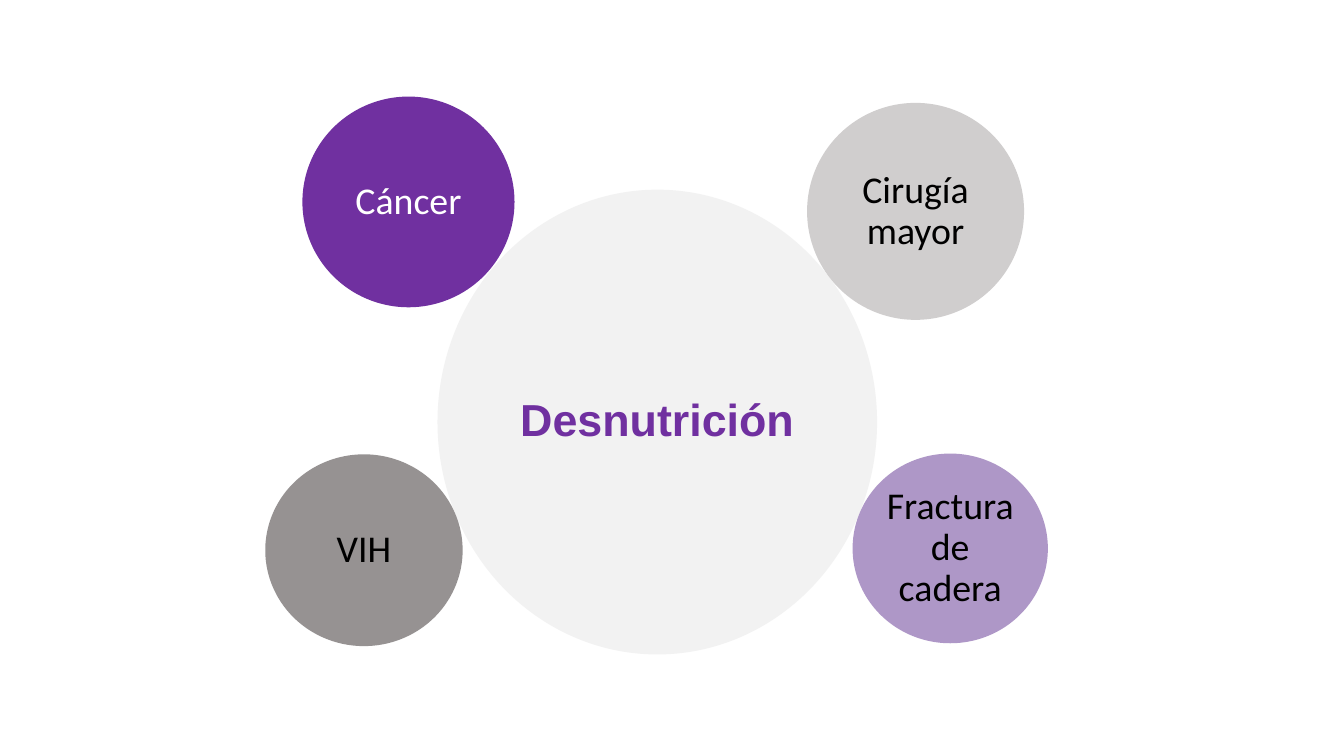
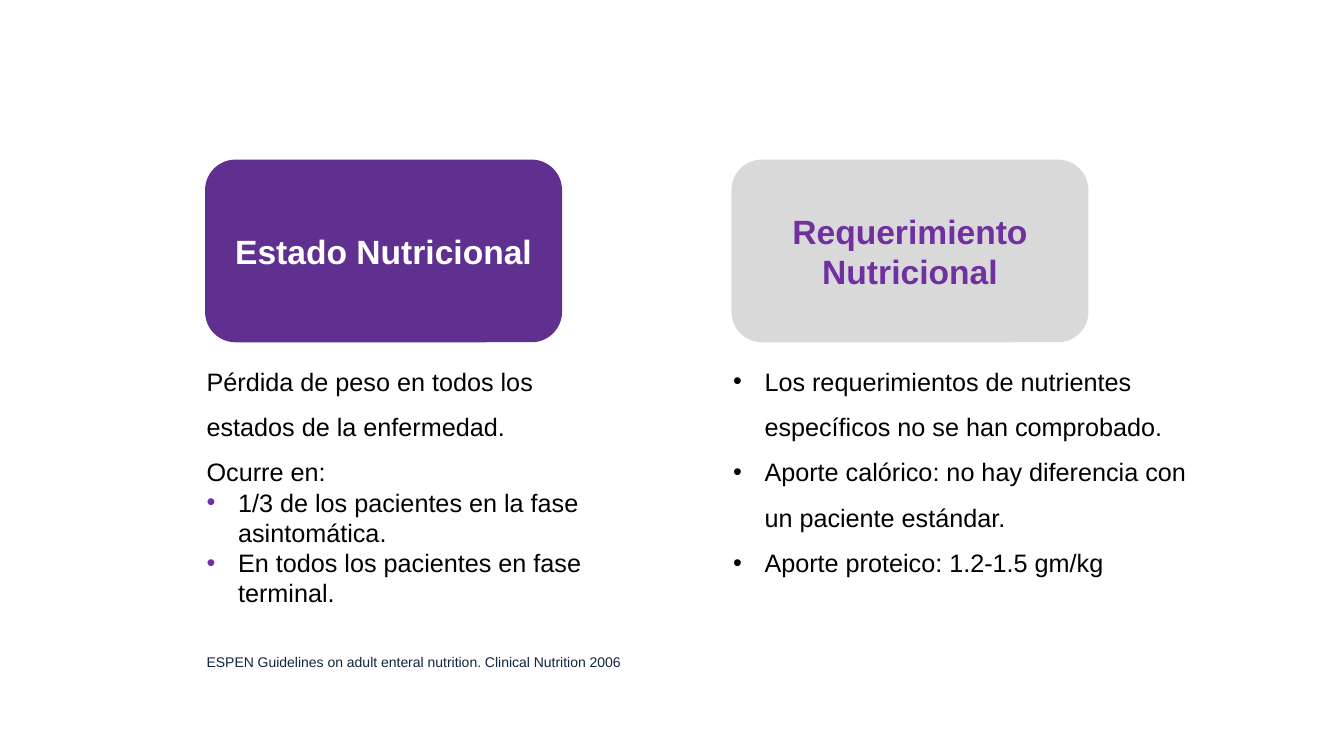
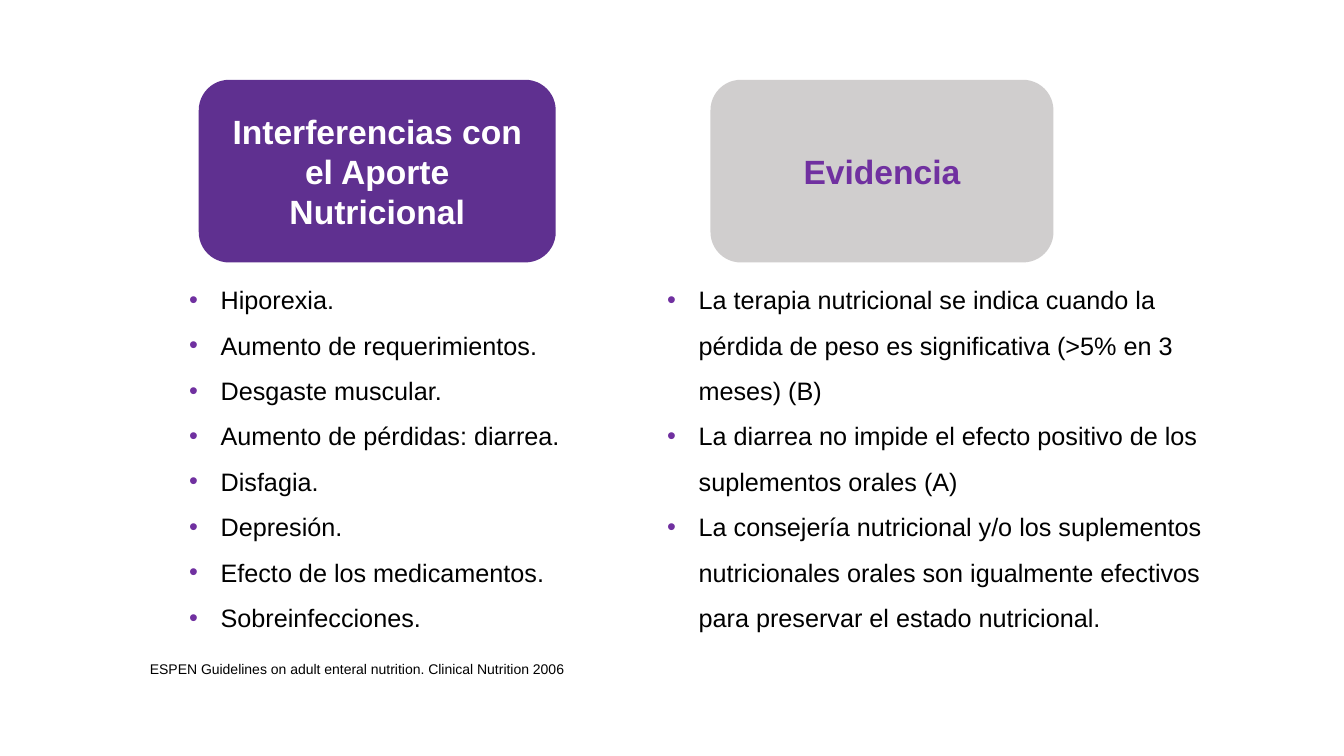
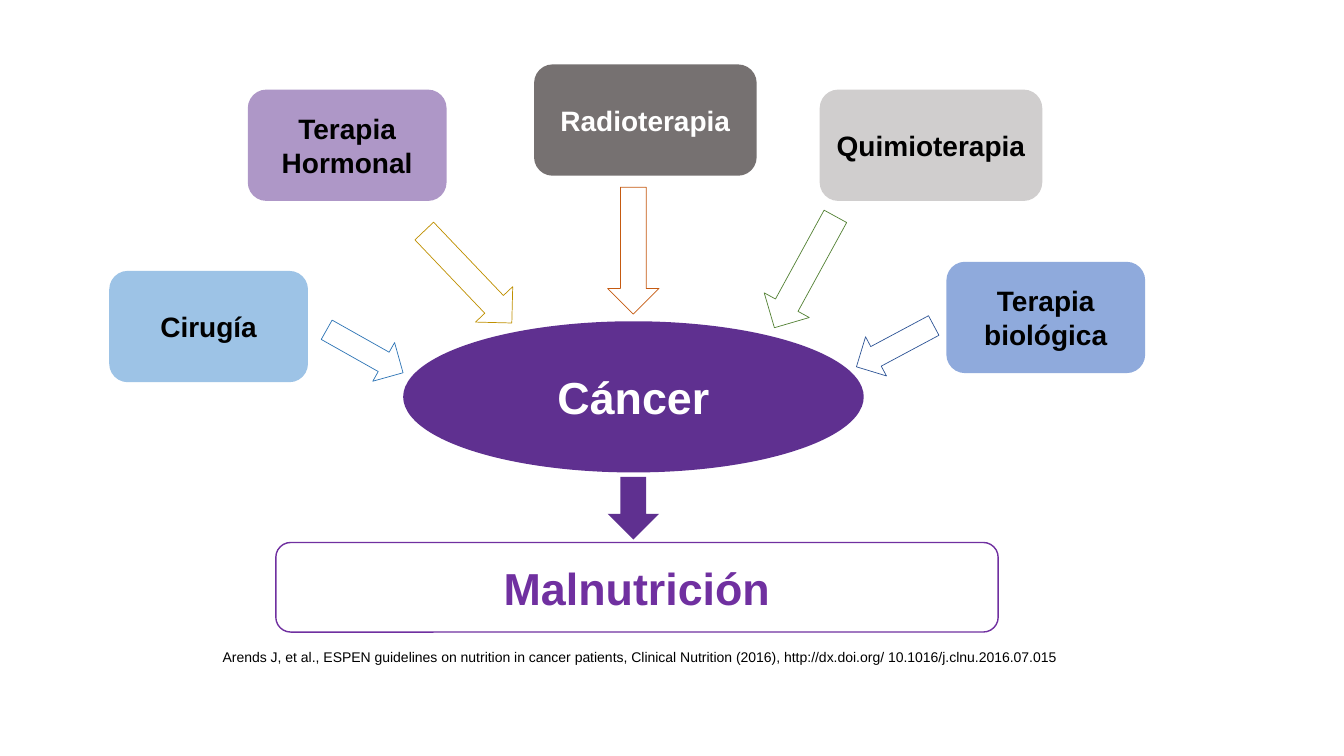
"""Build four slides on malnutrition and the nutritional care of patients."""
from dataclasses import dataclass

from lxml import etree
from pptx import Presentation
from pptx.dml.color import RGBColor
from pptx.enum.shapes import MSO_SHAPE
from pptx.enum.text import MSO_ANCHOR, MSO_AUTO_SIZE, PP_ALIGN
from pptx.oxml.ns import qn
from pptx.util import Pt

ELLIPSE = MSO_SHAPE.OVAL
ROUNDED = MSO_SHAPE.ROUNDED_RECTANGLE
DOWN_ARROW = MSO_SHAPE.DOWN_ARROW
MIDDLE = MSO_ANCHOR.MIDDLE
CENTER = PP_ALIGN.CENTER
GROW = MSO_AUTO_SIZE.SHAPE_TO_FIT_TEXT


@dataclass(frozen=True)
class Theme:
    font: str = "Arial"
    circle_font: str = "Calibri"
    violet: str = "7030A0"
    deep_violet: str = "5F3090"
    dark_grey: str = "767171"
    warm_grey: str = "D0CECE"
    grey: str = "D9D9D9"
    pale_grey: str = "F2F2F2"
    sky: str = "9DC3E6"
    blue: str = "8FAADC"
    navy: str = "10253F"
    black: str = "000000"
    white: str = "FFFFFF"
    hero: int = 32
    circle: int = 27
    heading: int = 24
    card: int = 20
    body: int = 18
    source: int = 10
    indent: float = 22.5


T = Theme()


def draw(slide, preset, box, fill=None, text="", size=T.card, color=T.black, bold=True,
         font=T.font, alpha=None, line=None, line_width=0.5, rotation=0, inset=None, spacing=None):
    shape = slide.shapes.add_shape(preset, *map(Pt, box))
    shape.shadow.inherit = False
    shape.rotation = rotation
    if fill:
        shape.fill.solid()
        shape.fill.fore_color.rgb = RGBColor.from_string(fill)
    else:
        shape.fill.background()
    if alpha:
        tint = shape.fill._xPr.find(".//" + qn("a:srgbClr"))
        etree.SubElement(tint, qn("a:alpha"), val=str(alpha * 1000))
    if line:
        shape.line.color.rgb = RGBColor.from_string(line)
        shape.line.width = Pt(line_width)
    else:
        shape.line.fill.background()
    if text:
        frame = shape.text_frame
        frame.word_wrap = True
        frame.vertical_anchor = MIDDLE
        if inset is not None:
            frame.margin_left = frame.margin_right = Pt(inset)
            frame.margin_top = frame.margin_bottom = Pt(inset)
        label = frame.paragraphs[0]
        label.text = text
        label.alignment = CENTER
        label.line_spacing = spacing
        label.font.name, label.font.size, label.font.bold = font, Pt(size), bold
        label.font.color.rgb = RGBColor.from_string(color)


def write(slide, box, paragraphs, size=T.body, color=T.black):
    frame = slide.shapes.add_textbox(*map(Pt, box)).text_frame
    frame.word_wrap = True
    frame.auto_size = GROW
    for index, (text, spacing, bullet) in enumerate(paragraphs):
        paragraph = frame.add_paragraph() if index else frame.paragraphs[0]
        paragraph.text = text
        paragraph.line_spacing = spacing
        if bullet:
            properties = paragraph._p.get_or_add_pPr()
            properties.set("marL", str(Pt(T.indent)))
            properties.set("indent", str(-Pt(T.indent)))
            bullet_color = etree.SubElement(properties, qn("a:buClr"))
            etree.SubElement(bullet_color, qn("a:srgbClr"), val=bullet)
            etree.SubElement(properties, qn("a:buFont"), typeface=T.font)
            etree.SubElement(properties, qn("a:buChar"), char="•")
        paragraph.font.name, paragraph.font.size = T.font, Pt(size)
        paragraph.font.color.rgb = RGBColor.from_string(color)


deck = Presentation()
deck.slide_width, deck.slide_height = Pt(960), Pt(540)
blank = deck.slide_layouts[6]

causes_slide = deck.slides.add_slide(blank)
draw(causes_slide, ELLIPSE, (312.5, 135.5, 314, 332), T.pale_grey, "Desnutrición",
     T.hero, T.violet, inset=3, spacing=0.9)
for cause, box, fill, alpha, color in [
    ("Cáncer", (216, 69, 151.5, 150.5), T.violet, None, T.white),
    ("Cirugía mayor", (576.5, 73.5, 155, 155), T.warm_grey, None, T.black),
    ("Fractura de cadera", (609, 324, 139.5, 135.5), T.deep_violet, 50, T.black),
    ("VIH", (189.5, 324.5, 141, 137), T.dark_grey, 76, T.black),
]:
    draw(causes_slide, ELLIPSE, box, fill, cause, T.circle, color, False,
         T.circle_font, alpha, inset=3, spacing=0.9)

guideline = "ESPEN Guidelines on adult enteral nutrition. Clinical Nutrition 2006"
heading_height = 130.5
status = [
    ("Pérdida de peso en todos los estados de la enfermedad.", 1.5, None),
    ("Ocurre en:", 1.5, None),
    ("1/3 de los pacientes en la fase asintomática.", None, T.violet),
    ("En todos los pacientes en fase terminal.", None, T.violet),
]
requirements = [(text, 1.5, T.black) for text in (
    "Los requerimientos de nutrientes específicos no se han comprobado.",
    "Aporte calórico: no hay diferencia con un paciente estándar.",
    "Aporte proteico: 1.2-1.5 gm/kg",
)]
interferences = [(text, 1.5, T.violet) for text in (
    "Hiporexia.",
    "Aumento de requerimientos.",
    "Desgaste muscular.",
    "Aumento de pérdidas: diarrea.",
    "Disfagia.",
    "Depresión.",
    "Efecto de los medicamentos.",
    "Sobreinfecciones.",
)]
evidence = [(text, 1.5, T.violet) for text in (
    "La terapia nutricional se indica cuando la pérdida de peso es significativa "
    "(>5% en 3 meses) (B)",
    "La diarrea no impide el efecto positivo de los suplementos orales (A)",
    "La consejería nutricional y/o los suplementos nutricionales orales son igualmente "
    "efectivos para preservar el estado nutricional.",
)]
for heading_top, body_top, body_height, columns, source_box, source_color in [
    (114, 247, 196, [
        ("Estado Nutricional", 146.5, 255, T.deep_violet, T.white, status, 140.5, 310.5),
        ("Requerimiento Nutricional", 522.5, 255, T.grey, T.violet, requirements, 516.5, 341.5),
    ], (140.5, 463, 374.5, 19.5), T.navy),
    (57, 189, 265, [
        ("Interferencias con el Aporte Nutricional", 142, 255, T.deep_violet, T.white,
         interferences, 128, 342),
        ("Evidencia", 507.5, 245, T.warm_grey, T.violet, evidence, 469.5, 410.5),
    ], (100, 468, 335, 19.5), T.black),
]:
    columns_slide = deck.slides.add_slide(blank)
    for heading, left, width, fill, color, body, body_left, body_width in columns:
        draw(columns_slide, ROUNDED, (left, heading_top, width, heading_height),
             fill, heading, T.heading, color)
        write(columns_slide, (body_left, body_top, body_width, body_height), body)
    write(columns_slide, source_box, [(guideline, None, None)], T.source, source_color)

cancer_slide = deck.slides.add_slide(blank)
for therapy, left, top, width, fill, alpha, color in [
    ("Cirugía", 78, 193.5, 142, T.sky, None, T.black),
    ("Terapia Hormonal", 177, 64, 142, T.deep_violet, 50, T.black),
    ("Radioterapia", 381.5, 46, 159, T.dark_grey, None, T.white),
    ("Quimioterapia", 585.5, 64, 159, T.warm_grey, None, T.black),
    ("Terapia biológica", 676, 187, 142, T.blue, None, T.black),
]:
    draw(cancer_slide, ROUNDED, (left, top, width, 79.5), fill, therapy,
         T.card, color, alpha=alpha)
for left, top, width, height, rotation, outline in [
    (244.8, 219.6, 31.7, 62.6, 299.4, "2E75B6"),
    (316, 152.5, 36.7, 90.7, 316.4, "BF9000"),
    (434, 133.7, 36.7, 90.7, 0, "C55A11"),
    (556.6, 149, 36.7, 90.7, 28.7, "548235"),
    (623.5, 216, 31.7, 62.6, 61.9, "2F5597"),
]:
    draw(cancer_slide, DOWN_ARROW, (left, top, width, height), line=outline, rotation=rotation)
draw(cancer_slide, ELLIPSE, (288, 229.5, 329, 108), T.deep_violet, "Cáncer", T.hero, T.white)
draw(cancer_slide, DOWN_ARROW, (434, 340.6, 36.7, 44.8), T.deep_violet)
draw(cancer_slide, ROUNDED, (197, 387.5, 516, 64), T.white, "Malnutrición", T.hero, T.violet,
     line=T.violet, line_width=1)
write(cancer_slide, (152, 459.5, 626.5, 19.5), [(
    "Arends J, et al., ESPEN guidelines on nutrition in cancer patients, Clinical Nutrition "
    "(2016), http://dx.doi.org/ 10.1016/j.clnu.2016.07.015", None, None)], T.source)

deck.save("out.pptx")
